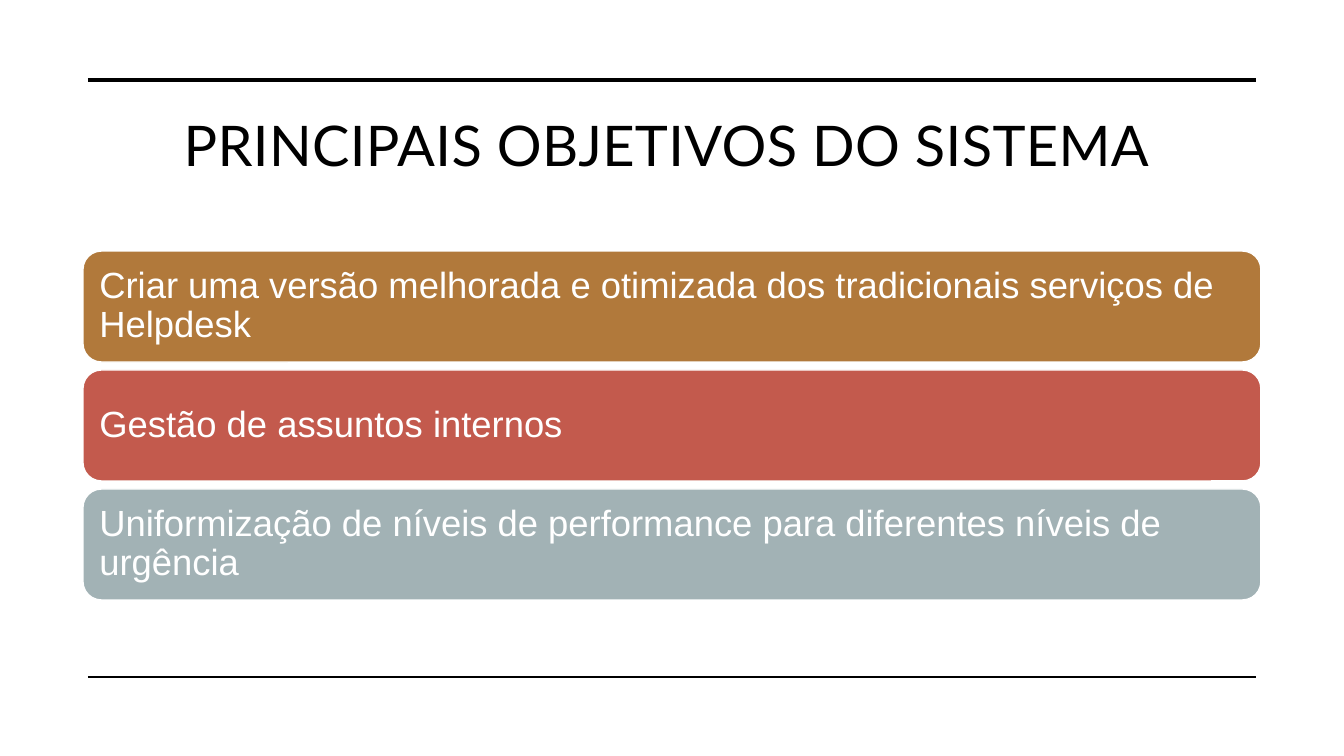
from dataclasses import dataclass

from pptx import Presentation
from pptx import util as u
from pptx.dml.color import RGBColor
from pptx.enum import shapes, text
from pptx.oxml.ns import qn
from lxml import etree

SCALE = 914400 / 100.8


@dataclass(frozen=True)
class Theme:
    ink: str = "000000"
    paper: str = "FFFFFF"
    ochre: str = "B1793B"
    red: str = "C35A4D"
    grey: str = "A2B2B5"
    head: str = "Lato"
    body: str = "Arial"
    big: int = 40
    mid: int = 26


@dataclass(frozen=True)
class Rule:
    top: int
    weight: float


@dataclass(frozen=True)
class Goal:
    label: str
    fill: str


THEME = Theme()
LEFT, WIDTH = 83, 1178
TOP, HEIGHT, STEP = 251, 111, 119
RULES = [Rule(80, 3.5), Rule(677, 1)]
GOALS = [
    Goal("Criar uma versão melhorada e otimizada dos tradicionais serviços de Helpdesk", THEME.ochre),
    Goal("Gestão de assuntos internos", THEME.red),
    Goal("Uniformização de níveis de performance para diferentes níveis de urgência", THEME.grey),
]


def px(count: int) -> u.Emu:
    return u.Emu(round(count * SCALE))


def style(para, name: str, size: int, color: str) -> None:
    para.font.name = name
    para.font.size = u.Pt(size)
    para.font.color.rgb = RGBColor.from_string(color)


def draw_title(slide, label: str) -> None:
    box = slide.shapes.add_textbox(px(78), px(106), px(WIDTH), px(127))
    frame = box.text_frame
    frame.word_wrap = True
    para = frame.paragraphs[0]
    para.alignment = text.PP_ALIGN.CENTER
    run = para.add_run()
    run.text = label
    run.font._element.set("spc", "30")
    style(para, THEME.head, THEME.big, THEME.ink)


def draw_rule(slide, rule: Rule) -> None:
    line = slide.shapes.add_connector(
        shapes.MSO_CONNECTOR.STRAIGHT, px(88), px(rule.top), px(1256), px(rule.top))
    line.line.color.rgb = RGBColor.from_string(THEME.ink)
    line.line.width = u.Pt(rule.weight)
    etree.SubElement(line._element.spPr, qn("a:effectLst"))


def draw_goal(slide, goal: Goal, top: int) -> None:
    bar = slide.shapes.add_shape(
        shapes.MSO_SHAPE.ROUNDED_RECTANGLE, px(LEFT), px(top), px(WIDTH), px(HEIGHT))
    bar.shadow.inherit = False
    bar.fill.solid()
    bar.fill.fore_color.rgb = RGBColor.from_string(goal.fill)
    bar.line.color.rgb = RGBColor.from_string(THEME.paper)
    bar.line.width = u.Pt(1)
    frame = bar.text_frame
    frame.word_wrap = True
    frame.vertical_anchor = text.MSO_ANCHOR.MIDDLE
    frame.margin_left = frame.margin_right = px(11)
    frame.margin_top = frame.margin_bottom = px(11)
    para = frame.paragraphs[0]
    para.text = goal.label
    para.alignment = text.PP_ALIGN.LEFT
    para.line_spacing = 0.9
    style(para, THEME.body, THEME.mid, THEME.paper)


def main() -> None:
    deck = Presentation()
    deck.slide_width, deck.slide_height = px(1344), px(756)
    slide = deck.slides.add_slide(deck.slide_layouts[6])
    draw_title(slide, "PRINCIPAIS OBJETIVOS DO SISTEMA")
    for rule in RULES:
        draw_rule(slide, rule)
    for row, goal in enumerate(GOALS):
        draw_goal(slide, goal, TOP + row * STEP)
    deck.save("out.pptx")


main()
